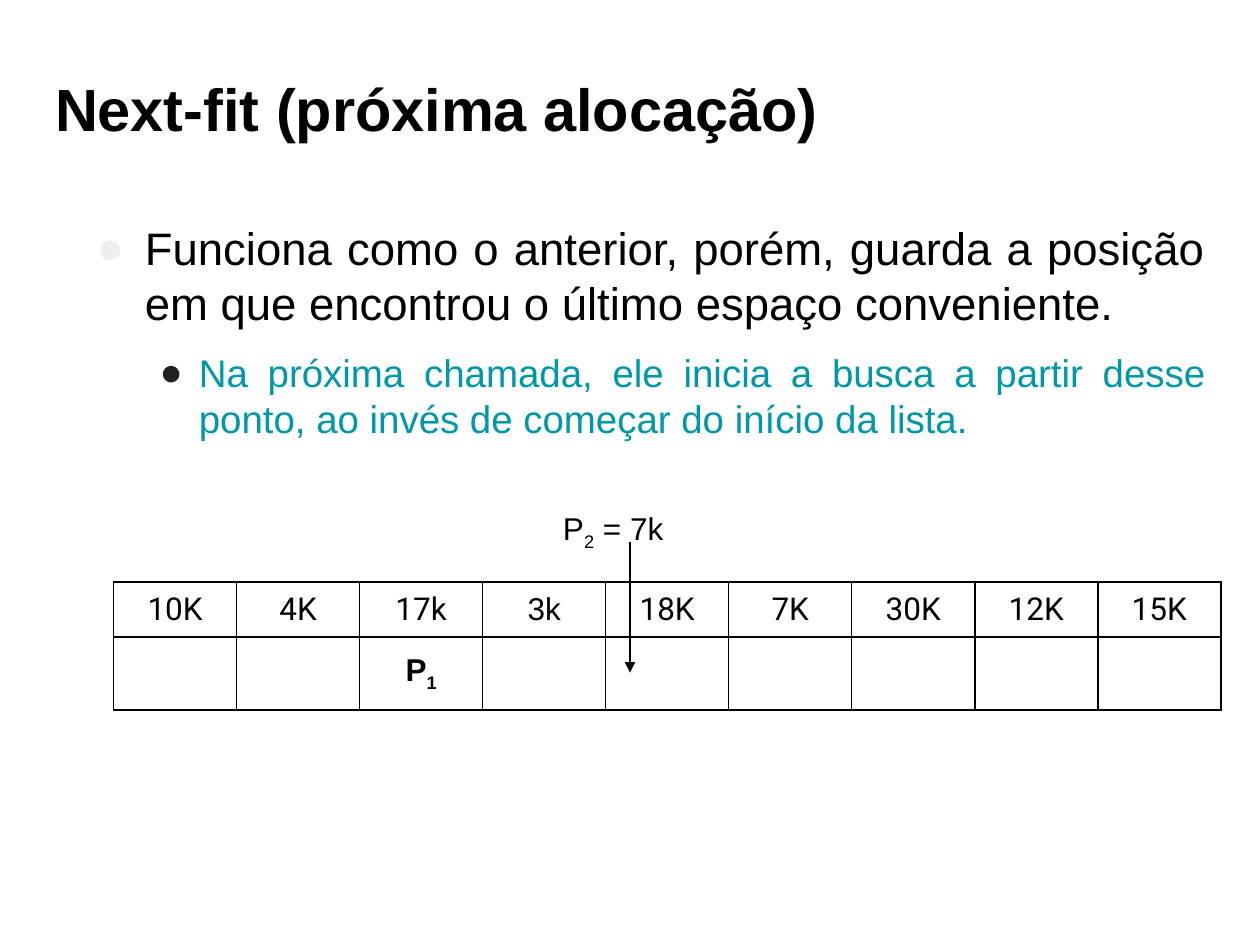
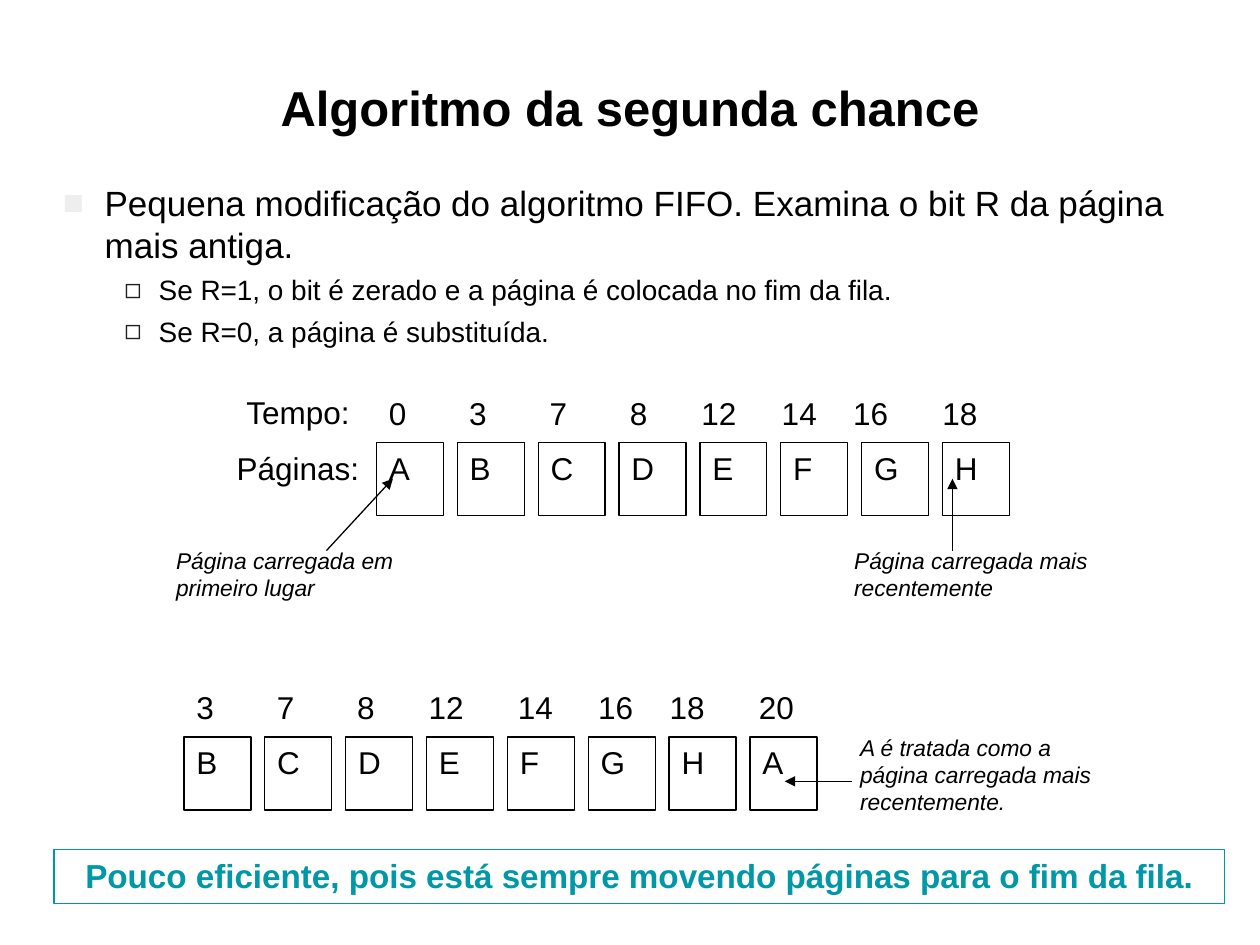
from lxml.etree import SubElement as Sub
from pptx import Presentation
from pptx.dml.color import RGBColor
from pptx.enum.shapes import MSO_CONNECTOR as Conn, MSO_SHAPE as Shape
from pptx.enum.text import MSO_ANCHOR as Anchor, PP_ALIGN as Align
from pptx.oxml.ns import qn
from pptx.util import Cm, Pt

BLACK, WHITE, TEAL = "000000", "FFFFFF", "0097A7"
PALE, DARK = "EEEEEE", "212121"
FONT = "Arial"

SIZES = ["10K", "4K", "17k", "3k", "18K", "7K", "30K", "12K", "15K"]
OWNERS = {2: ("P", "1")}
GRID = dict(left=2.29, top=11.73, col=2.48, rows=(1.11, 1.47))

FIT = [
    ("Funciona como o anterior, porém, guarda a posição em que encontrou "
     "o último espaço conveniente.",
     dict(size=26, left=0.97, hang=0.97, mark="●", tint=PALE)),
    ("Na próxima chamada, ele inicia a busca a partir desse ponto, "
     "ao invés de começar do início da lista.",
     dict(size=22, left=2.06, hang=0.79, mark="●", tint=DARK, before=11, color=TEAL)),
]

SUB = dict(size=16, left=2.06, hang=0.69, mark="◻", tint=DARK, before=4.4)
CHANCE = [
    ("Pequena modificação do algoritmo FIFO. Examina o bit R da página mais antiga.",
     dict(size=20, left=0.97, hang=0.84, mark="■", tint=PALE)),
    ("Se R=1, o bit é zerado e a página é colocada no fim da fila.", SUB),
    ("Se R=0, a página é substituída.", SUB),
]

QUEUES = [
    dict(left=7.59, top=8.92, pages="ABCDEFGH",
         times=["0", "3", "7", "8", "12", "14", "16", "18"],
         gaps=[7, 7, 7, 6, 5, 4, 6]),
    dict(left=3.71, top=14.86, pages="BCDEFGHA",
         times=["3", "7", "8", "12", "14", "16", "18", "20"],
         gaps=[7, 7, 6, 6, 5, 4, 6]),
]
BOX, STEP, TALL = 1.35, 1.63, 1.47
SPACE = 0.18

LABELS = [
    ("Tempo:", (4.72, 7.8, 4.04, 1.47)),
    ("Páginas:", (4.52, 8.92, 4.04, 1.47)),
]
NOTES = [
    ("Página carregada em primeiro lugar",
     (3.3, 10.9, 5.38, 1.47), (6.58, 11.1, 7.92, 9.65)),
    ("Página carregada mais recentemente",
     (16.97, 10.9, 5.38, 1.47), (19.2, 11.1, 19.2, 9.65)),
    ("A é tratada como a página carregada mais recentemente.",
     (17.09, 14.66, 5.38, 2.92), (17.17, 15.75, 15.82, 15.75)),
]
MORAL = "Pouco eficiente, pois está sempre movendo páginas para o fim da fila."


def paint(code):
    return RGBColor.from_string(code)


def write(para, text, size=18, color=BLACK, font=FONT, bold=False, slant=False,
          align=Align.LEFT, left=0, hang=0, mark=None, tint=BLACK, before=0, stops=()):
    para.alignment = align
    para.space_before = Pt(before)
    props = para._p.get_or_add_pPr()
    if mark:
        props.set("marL", str(Cm(left)))
        props.set("indent", str(-Cm(hang)))
        tone = Sub(Sub(props, qn("a:buClr")), qn("a:srgbClr"))
        tone.set("val", tint)
        Sub(props, qn("a:buFont")).set("typeface", FONT)
        Sub(props, qn("a:buChar")).set("char", mark)
    if stops:
        tabs = Sub(props, qn("a:tabLst"))
        for stop in stops:
            tab = Sub(tabs, qn("a:tab"))
            tab.set("pos", str(Cm(stop)))
            tab.set("algn", "l")
    parts = (text,) if isinstance(text, str) else text
    for spot, part in enumerate(parts):
        run = para.add_run()
        run.text = part
        face = run.font
        face.name, face.size, face.bold, face.italic = font, Pt(size), bold, slant
        face.color.rgb = paint(color)
        if spot % 2:
            run._r.get_or_add_rPr().set("baseline", "-25000")


def place(slide, items, area, anchor=Anchor.TOP, **look):
    frame = slide.shapes.add_textbox(*map(Cm, area)).text_frame
    frame.word_wrap = True
    frame.vertical_anchor = anchor
    for spot, (text, own) in enumerate(items):
        para = frame.add_paragraph() if spot else frame.paragraphs[0]
        write(para, text, **{**look, **own})


def label(slide, text, area, **look):
    place(slide, [(text, {})], area, **look)


def title(slide, text, area, **look):
    label(slide, text, area, anchor=Anchor.MIDDLE, bold=True, **look)


def frame_box(slide, text, area, edge=BLACK, **look):
    box = slide.shapes.add_shape(Shape.RECTANGLE, *map(Cm, area))
    box.shadow.inherit = False
    box.fill.background()
    box.line.color.rgb = paint(edge)
    box.line.width = Pt(0.75)
    box.text_frame.word_wrap = True
    box.text_frame.vertical_anchor = Anchor.TOP
    write(box.text_frame.paragraphs[0], text, **look)


def arrow(slide, ends):
    link = slide.shapes.add_connector(Conn.STRAIGHT, *map(Cm, ends))
    link.line.color.rgb = paint(BLACK)
    link.line.width = Pt(0.75)
    Sub(link.line._get_or_add_ln(), qn("a:tailEnd")).set("type", "triangle")
    Sub(link._element.spPr, qn("a:effectLst"))


def style(cell):
    cell.vertical_anchor = Anchor.MIDDLE
    props = cell._tc.get_or_add_tcPr()
    for side in ("lnL", "lnR", "lnT", "lnB"):
        line = Sub(props, qn("a:" + side))
        line.set("w", str(Pt(1)))
        Sub(Sub(line, qn("a:solidFill")), qn("a:srgbClr")).set("val", BLACK)
    cell.fill.solid()
    cell.fill.fore_color.rgb = paint(WHITE)


def memory(slide):
    count, rows = len(SIZES), GRID["rows"]
    area = GRID["left"], GRID["top"], GRID["col"] * count, sum(rows)
    table = slide.shapes.add_table(len(rows), count, *map(Cm, area)).table
    table.first_row = table.horz_banding = False
    for row, high in zip(table.rows, rows):
        row.height = Cm(high)
    for spot, size in enumerate(SIZES):
        table.columns[spot].width = Cm(GRID["col"])
        top, low = table.cell(0, spot), table.cell(1, spot)
        style(top)
        style(low)
        write(top.text_frame.paragraphs[0], size, align=Align.CENTER,
              font=FONT if size == "3k" else "Roboto")
        if spot in OWNERS:
            write(low.text_frame.paragraphs[0], OWNERS[spot], bold=True, align=Align.CENTER)


def queue(slide, left, top, pages, times, gaps):
    for spot, page in enumerate(pages):
        frame_box(slide, page, (left + spot * STEP, top, BOX, TALL))
    stops, reach = [], 0
    for time, gap in zip(times, gaps):
        reach += (2 * len(time) + gap) * SPACE
        stops.append(reach)
    label(slide, "\t".join(times), (left, top - 1.11, 13.49, 1.47), stops=stops)


def next_fit(slide):
    title(slide, "Next-fit (próxima alocação)", (0.86, 1.12, 23.67, 2.11), size=34)
    place(slide, FIT, (1.7, 4.32, 22.86, 10.8), align=Align.JUSTIFY)
    memory(slide)
    label(slide, ("P", "2", " = 7k"), (11.1, 10.13, 2.64, 1.32))
    arrow(slide, (12.7, 10.92, 12.7, 13.56))


def second_chance(slide):
    title(slide, "Algoritmo da segunda chance", (1.27, 0.97, 22.86, 2.39),
          size=28, align=Align.CENTER)
    place(slide, CHANCE, (0.89, 3.53, 24, 6.4))
    for text, area in LABELS:
        label(slide, text, area)
    for row in QUEUES:
        queue(slide, **row)
    for text, area, ends in NOTES:
        label(slide, text, area, size=13, slant=True)
        arrow(slide, ends)
    frame_box(slide, MORAL, (1.09, 17.12, 23.6, 1.09), edge=TEAL, size=19,
              color=TEAL, bold=True, align=Align.CENTER)


def main():
    deck = Presentation()
    deck.slide_width, deck.slide_height = Cm(25.4), Cm(19.05)
    for build in (next_fit, second_chance):
        build(deck.slides.add_slide(deck.slide_layouts[6]))
    deck.save("out.pptx")


if __name__ == "__main__":
    main()
